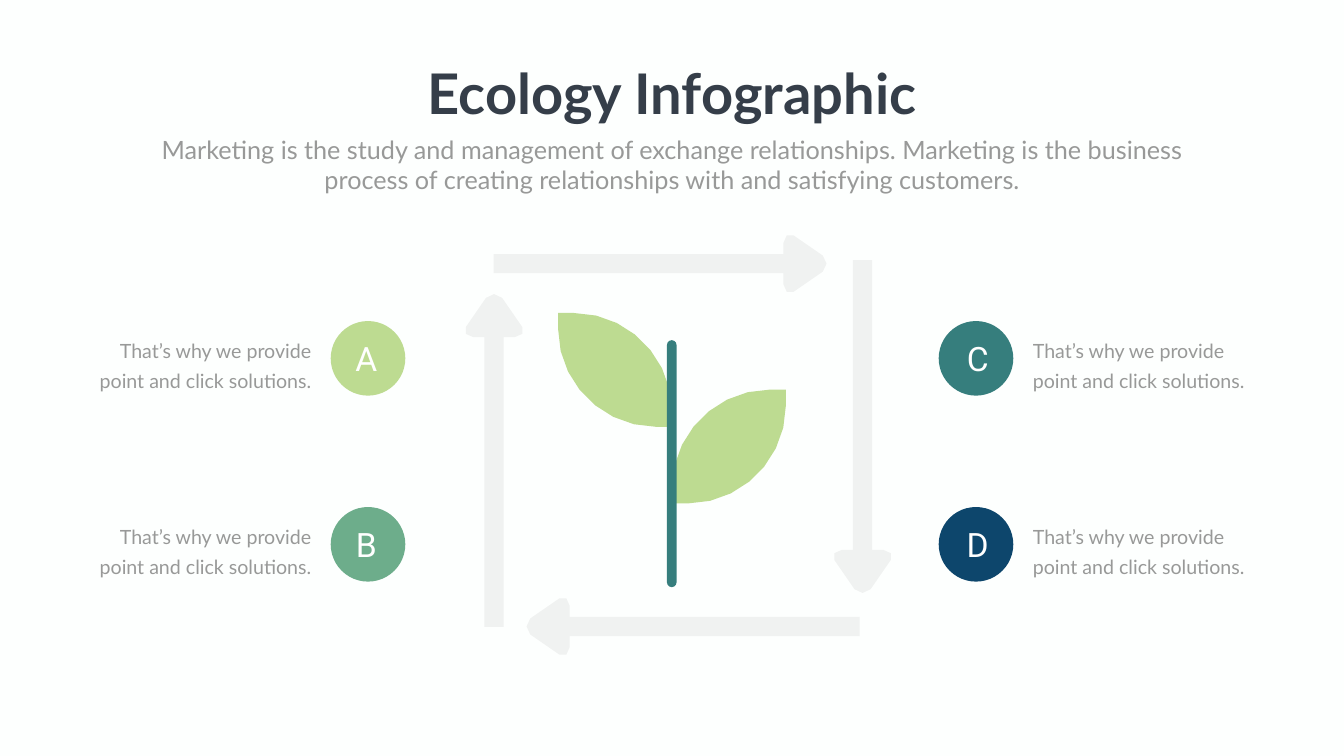
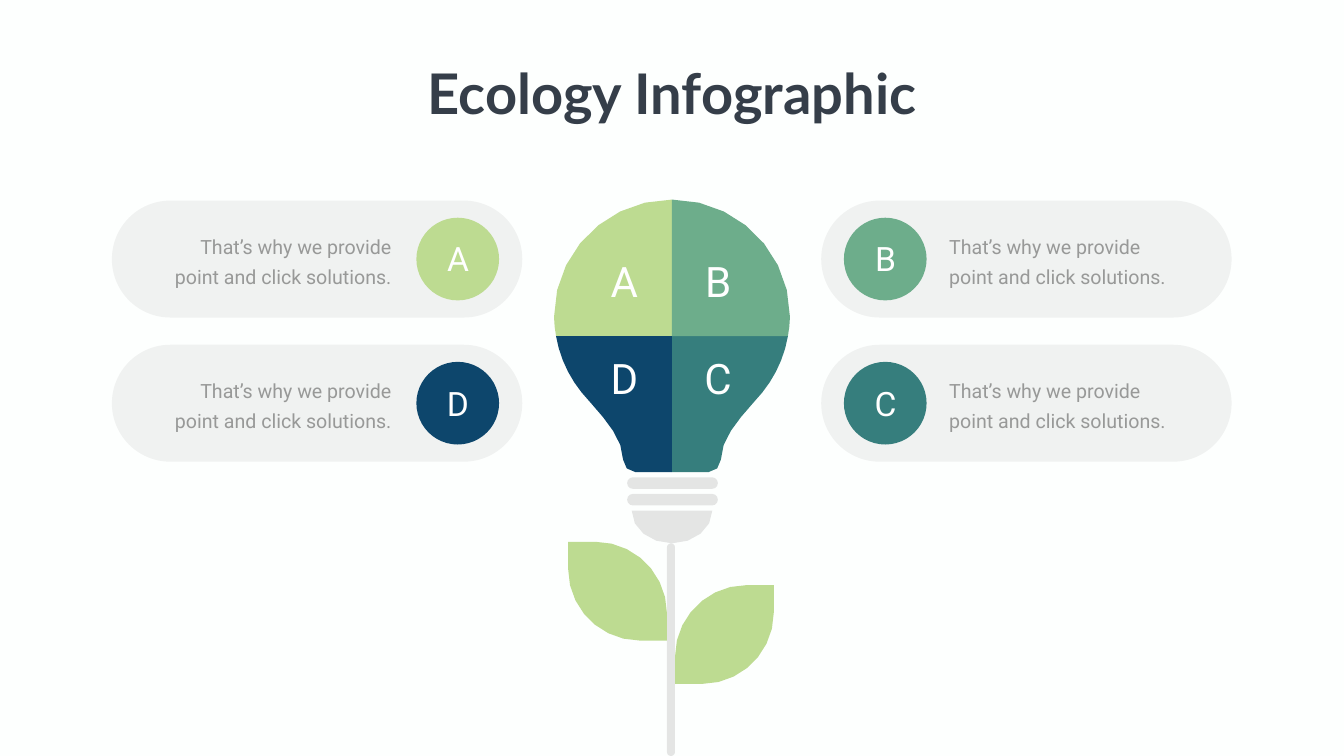
import lxml.etree
import math
import pptx
import pptx.dml.color
import pptx.enum.shapes
import pptx.enum.text
import pptx.oxml.ns
import pptx.util

RGB = pptx.dml.color.RGBColor
SHAPE = pptx.enum.shapes.MSO_SHAPE
ALIGN = pptx.enum.text.PP_ALIGN
FIT = pptx.enum.text.MSO_AUTO_SIZE

# Style
PX = 9144  # 100 px to the inch
PAPER = RGB(0xFD, 0xFF, 0xFE)
INK = RGB(0x35, 0x3E, 0x49)
GRAY = RGB(0x98, 0x99, 0x98)
SHADE = RGB(0x80, 0x80, 0x80)
WHITE = RGB(0xFF, 0xFF, 0xFF)
LIME = RGB(0xBD, 0xDB, 0x91)
SAGE = RGB(0x6D, 0xAD, 0x8B)
TEAL = RGB(0x36, 0x7E, 0x7D)
NAVY = RGB(0x0D, 0x46, 0x6C)
LATO, ROBOTO = "Lato", "Roboto"

TITLE = "Ecology Infographic"
INTRO = ("Marketing is the study and management of exchange relationships. "
         "Marketing is the business process of creating relationships with "
         "and satisfying customers.")
NOTE = "That’s why we provide point and click solutions."

# Outlines: two numbers are a corner, six are a curve
ARROW = [(0, -19), (575, -19), (575, -41), (575, -55, 586, -62, 595, -56),
         (653, -16), (663, -9, 663, 9, 653, 16), (595, 56),
         (586, 62, 575, 55, 575, 41), (575, 19), (0, 19)]
CROWN = [(0, 396), (129, 396, 234, 500, 234, 629),
         (234, 642, 232, 654, 230, 667), (0, 667)]
NECK = [(0, 667), (0, 937), (72, 937), (86, 937, 97, 925, 97, 912),
        (97, 863, 148, 816, 179, 779), (205, 747, 223, 708, 230, 667)]
CUP = [(80, 1013), (80, 1049, 44, 1078, 0, 1078),
       (-44, 1078, -80, 1049, -80, 1013)]


def trace(steps):
    """Turn corners and curves into points, more for longer curves."""
    dots = [steps[0]]
    for step in steps[1:]:
        if len(step) == 2:
            dots.append(step)
            continue
        ends = [dots[-1], step[:2], step[2:4], step[4:]]
        count = min(7, 2 + int(math.dist(ends[0], ends[3]) // 40))
        for n in range(1, count + 1):
            t = n / count
            s = 1 - t
            rates = (s ** 3, 3 * s * s * t, 3 * s * t * t, t ** 3)
            dots.append(tuple(sum(r * p[i] for r, p in zip(rates, ends))
                              for i in (0, 1)))
    return dots


class Deck:
    def __init__(self):
        self.file = pptx.Presentation()
        self.file.slide_width = 2666 * PX
        self.file.slide_height = 1500 * PX
        self.slide = None

    def page(self):
        self.slide = self.file.slides.add_slide(self.file.slide_layouts[6])
        back = self.slide.background.fill
        back.solid()
        back.fore_color.rgb = PAPER

    def title(self):
        self.text((828, 112, 1011, 145), TITLE, 80, LATO, INK,
                  bold=True, wrap=False)

    def paint(self, shape, fill, alpha=100):
        shape.shadow.inherit = False
        shape.line.fill.background()
        shape.fill.solid()
        shape.fill.fore_color.rgb = fill
        if alpha < 100:
            qn = pptx.oxml.ns.qn
            tint = shape.element.spPr.find(qn("a:solidFill"))[0]
            lxml.etree.SubElement(tint, qn("a:alpha"), val=str(alpha * 1000))

    def shape(self, kind, box, fill, alpha=100):
        item = self.slide.shapes.add_shape(kind, *(n * PX for n in box))
        self.paint(item, fill, alpha)
        return item

    def pill(self, box, fill, alpha=100):
        self.shape(SHAPE.ROUNDED_RECTANGLE, box, fill, alpha).adjustments[0] = 0.5

    def free(self, steps, fill, alpha=100, at=(0, 0), across=(1, 0), down=(0, 1)):
        """Draw an outline with its own origin and axes."""
        dots = [tuple(round(PX * (at[i] + u * across[i] + v * down[i]))
                      for i in (0, 1)) for u, v in trace(steps)]
        pen = self.slide.shapes.build_freeform(*dots[0], scale=1.0)
        pen.add_line_segments(dots[1:], close=True)
        self.paint(pen.convert_to_shape(), fill, alpha)

    def leaf(self, stem, top, size, tip, side):
        """Leaf left (-1) or right (1) of the stem; tip is its straight edge."""
        far = size - tip
        near = 0.45 * far
        rim = size - near
        steps = [(0, size), (tip, size), (rim, size, size, rim, size, far),
                 (size, 0), (far, 0), (near, 0, 0, near, 0, far)]
        steps[2] = (rim, size, size, rim, size, tip)
        self.free(steps, LIME, at=(stem, top), across=(side, 0))

    def text(self, box, words, size, font, tone, align=ALIGN.CENTER,
             bold=False, wrap=True, pitch=None):
        frame = self.slide.shapes.add_textbox(*(n * PX for n in box)).text_frame
        frame.word_wrap = wrap
        frame.auto_size = FIT.SHAPE_TO_FIT_TEXT
        frame.text = words
        para = frame.paragraphs[0]
        para.alignment = align
        if pitch:
            para.line_spacing = pptx.util.Pt(pitch)
        face = para.runs[0].font
        face.size, face.name, face.bold = pptx.util.Pt(size), font, bold
        face.color.rgb = tone

    def mark(self, box, letter, size=48):
        self.text(box, letter, size, ROBOTO, WHITE)

    def badge(self, x, y, size, letter, fill, inset):
        dx, dy, wide = inset
        self.shape(SHAPE.OVAL, (x, y, size, size), fill)
        self.mark((x + dx, y + dy, wide, 91), letter)

    def note(self, box, font, align):
        self.text(box, NOTE, 28, font, GRAY, align, pitch=43)


def plant(deck):
    deck.page()

    # Sprout
    deck.leaf(1333, 621, 226, 31, -1)
    deck.leaf(1333, 773, 226, 31, 1)
    deck.pill((1323, 675, 19, 490), TEAL)

    # Lettered notes
    sides = ((1862, 33, 2039, 112, ALIGN.LEFT, (("C", TEAL), ("D", NAVY))),
             (656, 26, 168, 124, ALIGN.RIGHT, (("A", LIME), ("B", SAGE))))
    for x, dx, left, high, align, items in sides:
        for row, (letter, fill) in enumerate(items):
            y = 637 + row * 369
            deck.badge(x, y, 148, letter, fill, (dx, 29, 89))
            deck.note((left, y + 17, 459, high), LATO, align)

    # Cycle of arrows
    for at, (dx, dy) in (((979, 523), (1, 0)), ((1711, 516), (0, 1)),
                         ((1705, 1243), (-1, 0)), ((980, 1244), (0, -1))):
        deck.free(ARROW, SHADE, 10, at, (dx, dy), (-dy, dx))

    # Heading
    deck.title()
    deck.text((292, 261, 2082, 131), INTRO, 36, LATO, GRAY)


def bulb(deck):
    deck.page()

    # Stem and screw cap
    deck.pill((1323, 1078, 16, 422), SHADE, 20)
    for y in (947, 980):
        deck.pill((1244, y, 180, 23), SHADE, 20)
    deck.free(CUP, SHADE, 20, at=(1333, 0))

    # Glass in four parts
    parts = ((CROWN, -1, LIME), (NECK, 1, TEAL),
             (CROWN, 1, SAGE), (NECK, -1, NAVY))
    for steps, side, fill in parts:
        deck.free(steps, fill, at=(1333, 0), across=(side, 0))

    # Leaves
    deck.leaf(1323, 1075, 196, 54, -1)
    deck.leaf(1339, 1161, 196, 54, 1)

    # Letters on the glass
    for y, pair in ((502, "AB"), (694, "DC")):
        for x, letter in zip((1194, 1380), pair):
            deck.mark((x, y, 89, 111), letter, 60)

    # Lettered cards
    sides = ((222, 826, 294, ALIGN.RIGHT), (1629, 1674, 1873, ALIGN.LEFT))
    rows = ((("A", LIME), ("B", SAGE)), (("D", NAVY), ("C", TEAL)))
    for row, items in enumerate(rows):
        y = 398 + row * 286
        for (x, spot, left, align), (letter, fill) in zip(sides, items):
            deck.pill((x, y, 814, 232), SHADE, 10)
            deck.badge(spot, y + 34, 164, letter, fill, (33, 36, 99))
            deck.note((left, y + 50, 492, 125), ROBOTO, align)

    # Heading
    deck.title()


def main():
    deck = Deck()
    plant(deck)
    bulb(deck)
    deck.file.save("out.pptx")


if __name__ == "__main__":
    main()
